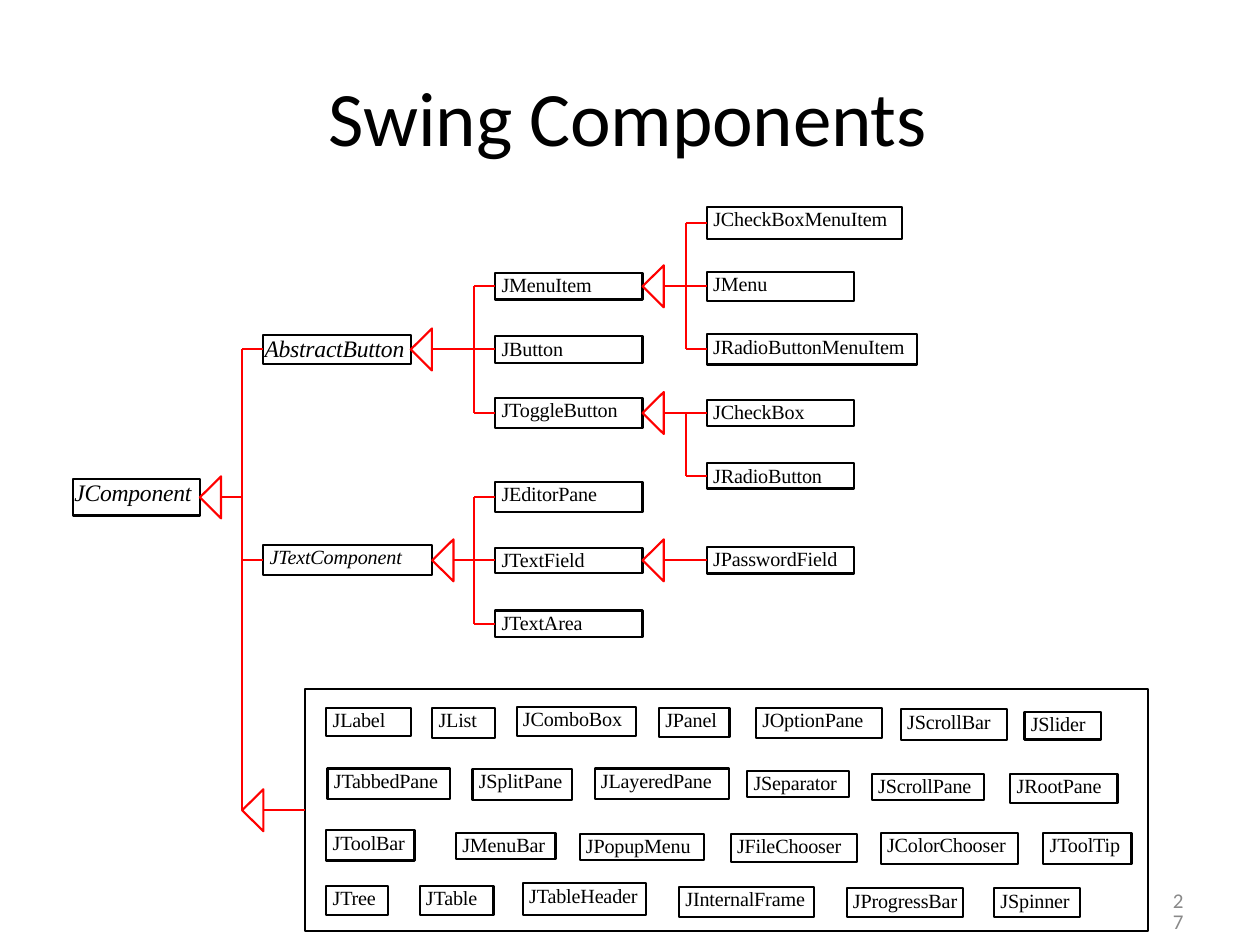
from lxml import etree
from pptx import Presentation
from pptx.dml.color import RGBColor
from pptx.enum.shapes import MSO_CONNECTOR, MSO_SHAPE
from pptx.enum.text import MSO_ANCHOR, MSO_AUTO_SIZE, PP_ALIGN
from pptx.oxml.ns import qn
from pptx.util import Pt

STRAIGHT = MSO_CONNECTOR.STRAIGHT
RECTANGLE = MSO_SHAPE.RECTANGLE
TRIANGLE = MSO_SHAPE.ISOSCELES_TRIANGLE
TOP = MSO_ANCHOR.TOP
LEFT = PP_ALIGN.LEFT
NO_AUTOSIZE = MSO_AUTO_SIZE.NONE
LEFT_SIDE = 1

color = RGBColor.from_string
BLACK, RED, GRAY = color("000000"), color("FF0000"), color("898989")
LINE_WIDTH = Pt(1.21)
ARROW_DEPTH, ARROW_HEIGHT = 12.1, 24
TRUNK_GAP = 12.1

LABEL = {"name": "Times New Roman", "size": Pt(11.5), "italic": False}
ABSTRACT = {"name": "Times New Roman", "size": Pt(13.5), "italic": True}
ABSTRACT_SMALL = {**LABEL, "italic": True}

deck = Presentation()
deck.slide_width, deck.slide_height = Pt(720), Pt(540)
page = deck.slides.add_slide(deck.slide_layouts[6])


def write(box, text, formats, ink, inset, leading=None, tracking=-10):
    frame = box.text_frame
    settings = {"margin_left": Pt(inset), "margin_top": 0, "margin_right": 0,
                "margin_bottom": 0, "word_wrap": True,
                "auto_size": NO_AUTOSIZE, "vertical_anchor": TOP}
    for key, value in settings.items():
        setattr(frame, key, value)
    para = frame.paragraphs[0]
    para.alignment = LEFT
    if leading:
        para.line_spacing = Pt(leading)
    span = para.add_run()
    span.text = text
    for key, value in formats.items():
        setattr(span.font, key, value)
    span.font.color.rgb = ink
    span._r.get_or_add_rPr().set("spc", str(tracking))


def red_line(x1, y1, x2, y2, target=None):
    line = page.shapes.add_connector(STRAIGHT, Pt(x1), Pt(y1), Pt(x2), Pt(y2))
    line.line.color.rgb = RED
    line.line.width = LINE_WIDTH
    etree.SubElement(line._element.spPr, qn("a:effectLst"))
    if target is not None:
        line.end_connect(target, LEFT_SIDE)


# Title and page number
title = page.shapes.add_textbox(Pt(70.6), Pt(39.9), Pt(578.2), Pt(49.7))
write(title, "Swing Components", {"name": "Calibri", "size": Pt(44)}, BLACK, 117.4)
number = page.shapes.add_textbox(Pt(663.1), Pt(509), Pt(17.3), Pt(13.7))
write(number, "27", {"name": "Calibri", "size": Pt(12)}, GRAY, 7.2, 12.4, -50)

# Class tree: name, left, centre line, width, height
tree = [
    ("JComponent", 41.8, 284.2, 72.4, 20.9),
    ("AbstractButton", 150.5, 199.7, 84.2, 16.6),
    ("JTextComponent", 150.5, 320.2, 96.5, 17.3),
    ("JMenuItem", 283, 163.6, 84.2, 15.1),
    ("JButton", 283, 199.7, 84.2, 15.1),
    ("JToggleButton", 283, 236, 84.2, 17.3),
    ("JEditorPane", 283, 284.2, 84.2, 17.3),
    ("JTextField", 283, 320.2, 84.2, 14.4),
    ("JTextArea", 283, 356.4, 84.2, 15.1),
    ("JCheckBoxMenuItem", 404, 127.4, 111.6, 18),
    ("JMenu", 404, 163.6, 84.2, 16.6),
    ("JRadioButtonMenuItem", 404, 199.7, 120.2, 17.3),
    ("JCheckBox", 404, 236, 84.2, 15.1),
    ("JRadioButton", 404, 272, 84.2, 14.4),
    ("JPasswordField", 404, 320.2, 84.2, 15.1),
]

# Other components: name, left, top, width, height
components = [
    ("JLabel", 186.5, 404.6, 48.2, 15.8),
    ("JList", 247, 404.6, 36, 17.3),
    ("JComboBox", 295.2, 403.9, 68.4, 16.6),
    ("JPanel", 376.6, 404.6, 40.3, 16.6),
    ("JOptionPane", 432, 404.6, 72, 17.3),
    ("JScrollBar", 514.8, 405.4, 60.5, 17.3),
    ("JSlider", 585.4, 406.8, 43.9, 15.8),
    ("JTabbedPane", 187.2, 439.2, 69.8, 17.3),
    ("JSplitPane", 270, 439.2, 56.9, 18),
    ("JLayeredPane", 339.8, 439.2, 77, 17.3),
    ("JSeparator", 427, 440.6, 58.3, 15.1),
    ("JScrollPane", 498.2, 442.1, 64.1, 15.1),
    ("JRootPane", 577.4, 442.1, 61.2, 16.6),
    ("JToolBar", 186.5, 474.5, 50.4, 17.3),
    ("JMenuBar", 260.6, 475.9, 56.9, 15.1),
    ("JPopupMenu", 331.2, 476.6, 71.3, 15.1),
    ("JFileChooser", 417.6, 476.6, 72, 15.8),
    ("JColorChooser", 503.3, 475.9, 78.5, 18),
    ("JToolTip", 596.2, 475.9, 50.4, 18),
    ("JTree", 186.5, 506.2, 35.3, 16.9),
    ("JTable", 239.8, 506.2, 42.2, 16.9),
    ("JTableHeader", 298.8, 504.7, 70.6, 18.4),
    ("JInternalFrame", 388.1, 506.9, 77, 17.3),
    ("JProgressBar", 483.8, 507.6, 66.6, 16.6),
    ("JSpinner", 568.1, 507.6, 49, 16.6),
]

# Boxes, with an unlabelled frame around the other components
panel = ("", 174.3, 393.8, 481.7, 138.4)
tree_boxes = [(name, left, middle - height / 2, width, height)
              for name, left, middle, width, height in tree]
styles = {"JComponent": (ABSTRACT, 0.7, 15.7),
          "AbstractButton": (ABSTRACT, 0.7, 15.5),
          "JTextComponent": (ABSTRACT_SMALL, 3.6, 13.6)}
boxes = {}
for name, *bounds in [panel] + tree_boxes + components:
    box = page.shapes.add_shape(RECTANGLE, *map(Pt, bounds))
    box.shadow.inherit = False
    box.fill.background()
    box.line.color.rgb = BLACK
    box.line.width = LINE_WIDTH
    if name:
        formats, inset, leading = styles.get(name, (LABEL, 3.6, 13.6))
        write(box, name, formats, BLACK, inset, leading)
    boxes[name] = box

# Inheritance lines from each parent to its children
children = {
    "JComponent": ["AbstractButton", "JTextComponent"],
    "AbstractButton": ["JMenuItem", "JButton", "JToggleButton"],
    "JTextComponent": ["JEditorPane", "JTextField", "JTextArea"],
    "JMenuItem": ["JCheckBoxMenuItem", "JMenu", "JRadioButtonMenuItem"],
    "JToggleButton": ["JCheckBox", "JRadioButton"],
    "JTextField": ["JPasswordField"],
}
places = {name: (left, middle, left + width)
          for name, left, middle, width, height in tree}
panel_middle = panel[2] + panel[4] / 2
root_trunk = places["AbstractButton"][0] - TRUNK_GAP
arrow_tips = [(root_trunk, panel_middle)]
for parent, names in children.items():
    _, middle, right = places[parent]
    arrow_tips.append((right, middle))
    trunk = places[names[0]][0] - TRUNK_GAP
    red_line(right + ARROW_DEPTH, middle, trunk, middle)
    levels = [places[name][1] for name in names]
    if parent == "JComponent":
        levels.append(panel_middle)
    if len(levels) > 1:
        red_line(trunk, min(levels), trunk, max(levels))
    for name in names:
        left, level, _ = places[name]
        red_line(trunk, level, left, level, boxes[name])
red_line(root_trunk + ARROW_DEPTH, panel_middle, panel[1], panel_middle, boxes[""])

# Hollow arrowheads, turned to point left
for tip, middle in arrow_tips:
    arrow = page.shapes.add_shape(
        TRIANGLE, Pt(tip + (ARROW_DEPTH - ARROW_HEIGHT) / 2),
        Pt(middle - ARROW_DEPTH / 2), Pt(ARROW_HEIGHT), Pt(ARROW_DEPTH))
    arrow.rotation = 270
    arrow.shadow.inherit = False
    arrow.fill.background()
    arrow.line.color.rgb = RED
    arrow.line.width = LINE_WIDTH

deck.save("out.pptx")
